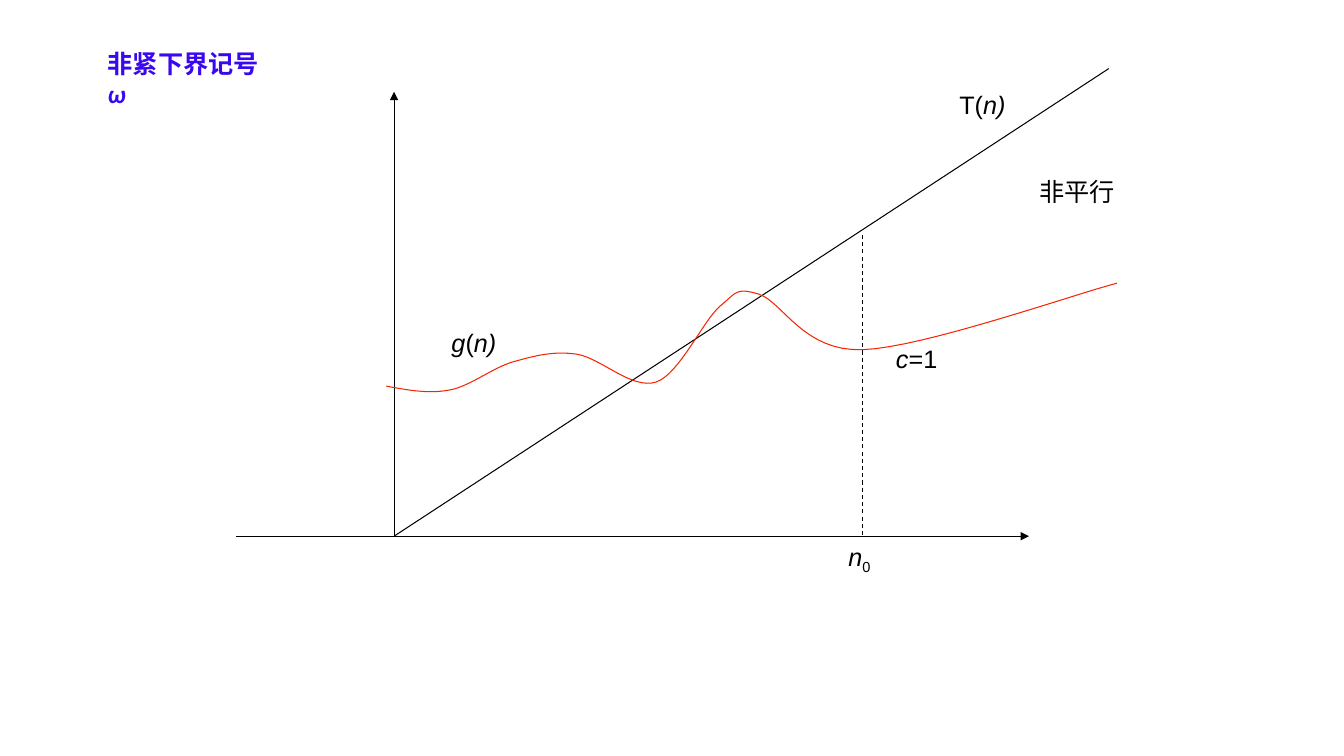
from pptx import Presentation
from pptx.dml.color import RGBColor
from pptx.enum.dml import MSO_LINE
from pptx.enum.shapes import MSO_CONNECTOR
from pptx.oxml.ns import qn
from pptx.util import Pt
from lxml.etree import SubElement

BLACK = RGBColor(0x00, 0x00, 0x00)
RED = RGBColor(0xF7, 0x24, 0x01)
BLUE = RGBColor(0x39, 0x07, 0xF1)

AXIS_Y = 383
ORIGIN_X = 281.5
THRESHOLD_X = 616.3
STEPS = 16

LABEL = {"name": "Arial", "size": Pt(18)}
ITALIC = {"italic": True}
SUBSCRIPT = "-25000"

CURVE_START = (275.8, 275.8)
CURVE_SEGMENTS = [
    ((290.9, 278.6), (306, 281.5), (321.1, 278.6)),
    ((336.2, 275.8), (351.4, 262.8), (366.5, 258.5)),
    ((381.6, 254.2), (395.3, 250.6), (411.8, 253)),
    ((429.1, 255.6), (451.4, 278.6), (468.7, 272.9)),
    ((485.3, 267.1), (501.8, 229.7), (514.1, 218.9)),
    ((526.3, 208.8), (525.6, 205.2), (542.2, 210.2)),
    ((559.4, 216), (573.8, 251.3), (616.3, 249.8)),
    ((658.8, 248.4), (767.5, 210.2), (797.8, 202.3)),
]


def apply_format(target, values):
    """Set each attribute named in values on target."""
    for name, value in values.items():
        setattr(target, name, value)


def add_line(page, start, end, arrow=False, dash=None):
    """Draw a thin black line, optionally dashed or with an arrowhead."""
    ends = [Pt(length) for length in (*start, *end)]
    connector = page.shapes.add_connector(MSO_CONNECTOR.STRAIGHT, *ends)
    apply_format(connector.line, {"width": Pt(0.75), "dash_style": dash})
    connector.line.color.rgb = BLACK
    if arrow:
        outline = connector.line._get_or_add_ln()
        SubElement(outline, qn("a:tailEnd"), type="triangle")
    SubElement(connector._element.spPr, qn("a:effectLst"))


def add_label(page, left, top, width, spans, color=BLACK, style=LABEL):
    """Add a text box whose spans are (text, format, baseline) tuples."""
    box = page.shapes.add_textbox(Pt(left), Pt(top), Pt(width), Pt(29))
    box.text_frame.word_wrap = True
    para = box.text_frame.paragraphs[0]
    for text, changes, baseline in spans:
        span = para.add_run()
        span.text = text
        apply_format(span.font, {**style, **changes})
        span.font.color.rgb = color
        if baseline:
            span._r.get_or_add_rPr().set("baseline", baseline)


def bezier_points(start, segments):
    """Return points along a chain of cubic Bezier segments."""
    points = []
    for first, second, end in segments:
        for step in range(1, STEPS + 1):
            t = step / STEPS
            u = 1 - t
            weights = (u ** 3, 3 * u * u * t, 3 * u * t * t, t ** 3)
            corners = (start, first, second, end)
            points.append(tuple(
                Pt(sum(w * corner[axis] for w, corner in zip(weights, corners)))
                for axis in (0, 1)))
        start = end
    return points


def add_curve(page, start, segments):
    """Draw the smooth red growth curve."""
    builder = page.shapes.build_freeform(Pt(start[0]), Pt(start[1]))
    builder.add_line_segments(bezier_points(start, segments), close=False)
    curve = builder.convert_to_shape()
    curve.shadow.inherit = False
    curve.fill.background()
    curve.line.color.rgb = RED
    curve.line.width = Pt(0.75)


def main():
    """Build the slide on the lower bound notation."""
    deck = Presentation()
    apply_format(deck, {"slide_width": Pt(960), "slide_height": Pt(540)})
    page = deck.slides.add_slide(deck.slide_layouts[6])

    origin = (ORIGIN_X, AXIS_Y)
    add_line(page, (168.5, AXIS_Y), (735, AXIS_Y), arrow=True)
    add_line(page, origin, (ORIGIN_X, 65.5), arrow=True)
    add_line(page, origin, (792, 49))
    add_line(page, (THRESHOLD_X, 167.8), (THRESHOLD_X, AXIS_Y),
             dash=MSO_LINE.DASH)
    add_curve(page, CURVE_START, CURVE_SEGMENTS)

    add_label(page, 315.4, 230.4, 54,
              [("g", ITALIC, None), ("(", {}, None), ("n)", ITALIC, None)])
    add_label(page, 678.2, 60.5, 54, [("T(", {}, None), ("n)", ITALIC, None)])
    add_label(page, 599, AXIS_Y, 36,
              [("n", ITALIC, None), ("0", {}, SUBSCRIPT)])
    add_label(page, 632.9, 241.9, 48, [("c", ITALIC, None), ("=1", {}, None)])
    add_label(page, 735.1, 122.4, 72, [("非平行", {}, None)])
    add_label(page, 69.8, 31, 126,
              [("非紧下界记号", {}, None), ("ω", ITALIC, None)],
              BLUE, {"name": "Calibri", "size": Pt(18), "bold": True})
    deck.save("out.pptx")


if __name__ == "__main__":
    main()
